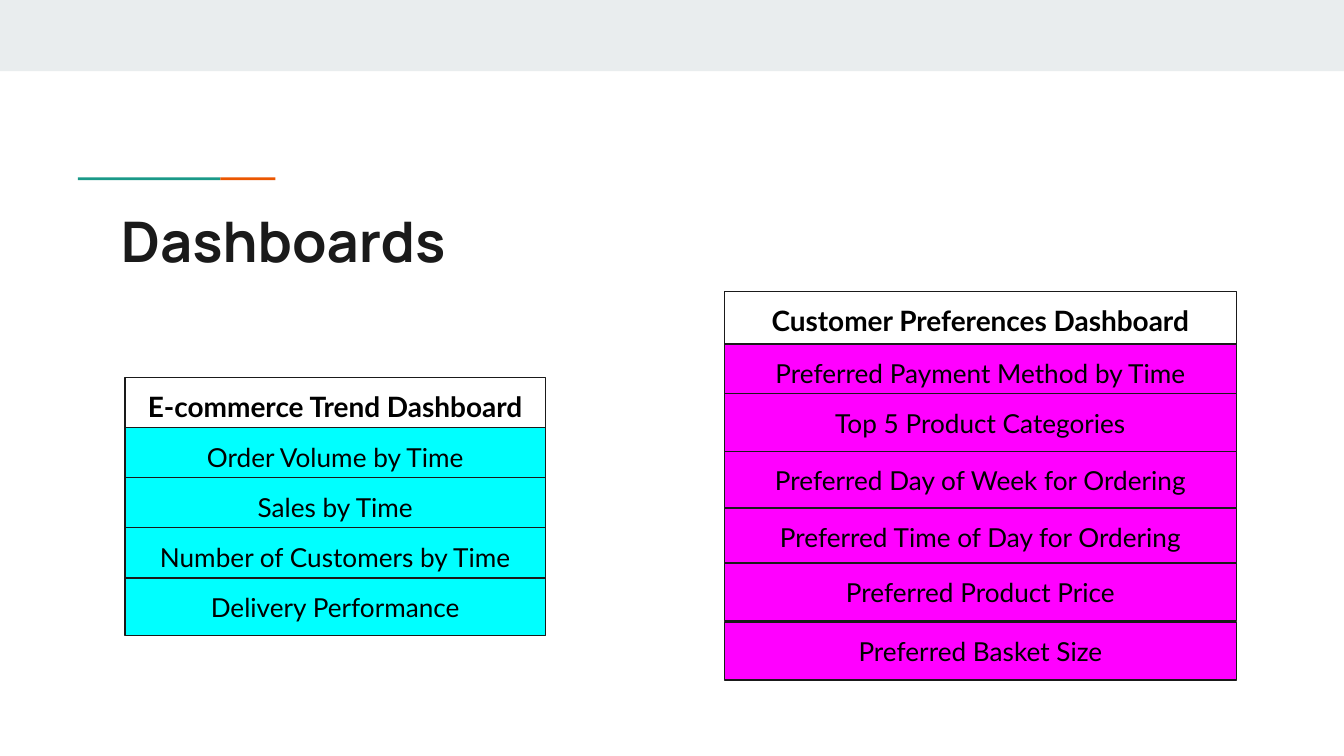
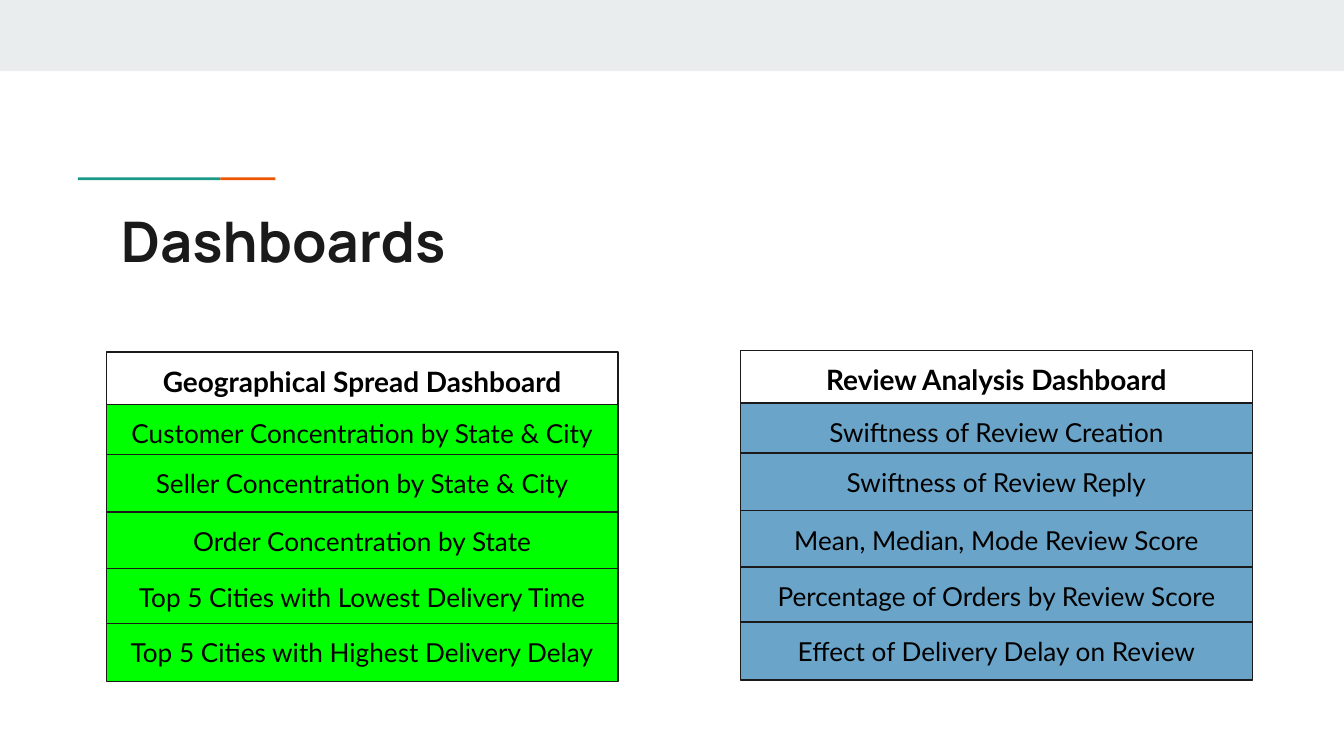
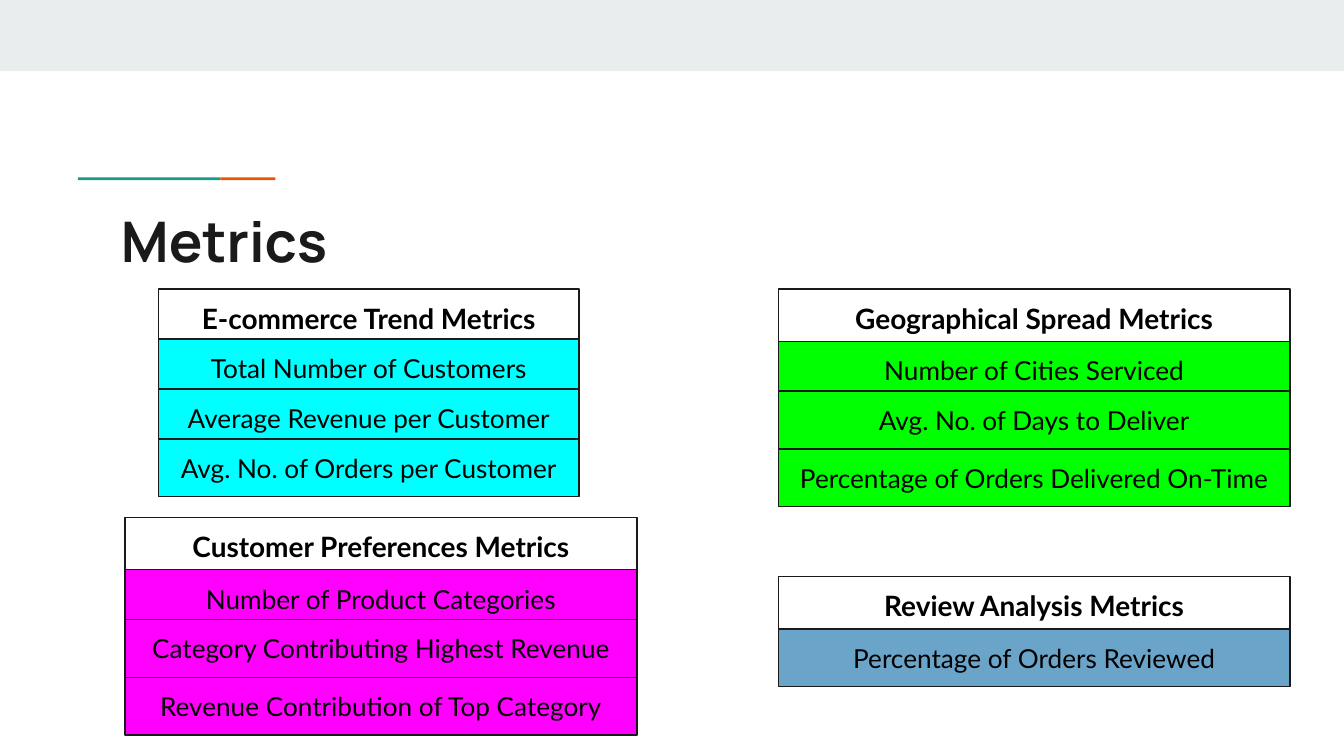
import dataclasses

import pptx
import pptx.dml.color
import pptx.enum.shapes
import pptx.enum.text
import pptx.util

Inches = pptx.util.Inches


@dataclasses.dataclass(frozen=True)
class Theme:
    paper: str = "FFFFFF"
    ink: str = "1A1A1A"
    label: str = "000000"
    band: str = "E9EDEE"
    teal: str = "1A9988"
    orange: str = "EB5600"
    trend: str = "00FFFF"
    preferences: str = "FF00FF"
    geography: str = "00FF00"
    review: str = "6AA4C8"
    title_font: str = "Manrope"
    card_font: str = "Lato"
    title_size: int = 30
    heading_size: int = 15
    item_size: int = 14
    outline: float = 0.75


THEME = Theme()
SLIDE_WIDTH = 10
SLIDE_HEIGHT = SLIDE_WIDTH * 9 / 16
TITLE_BOX = (0.8, 1.44, 8.41, 0.59)
INSET = 0.1
ROW_HEIGHT = 0.43

# Card widths, and the top of each row measured from the top of its card
NARROW, WIDE = 3.13, 3.81
ROW_TOPS = {
    NARROW: [1.49 * row / 4 for row in range(5)],
    WIDE: [0, 0.39, 0.76, 1.19, 1.61, 2.02, 2.46],
}


def rgb(value):
    return pptx.dml.color.RGBColor.from_string(value)


def set_all(target, values):
    for attribute, value in values.items():
        setattr(target, attribute, value)


def add_rectangle(slide, box, fill, outline=None):
    rectangle = slide.shapes.add_shape(
        pptx.enum.shapes.MSO_SHAPE.RECTANGLE, *map(Inches, box))
    rectangle.shadow.inherit = False
    rectangle.fill.solid()
    rectangle.fill.fore_color.rgb = rgb(fill)
    if outline:
        rectangle.line.color.rgb = rgb(outline)
        rectangle.line.width = pptx.util.Pt(THEME.outline)
    else:
        rectangle.line.fill.background()
    return rectangle


def write(shape, text, font, size, color, bold, align, anchor):
    frame = shape.text_frame
    frame.text = text
    margins = dict.fromkeys(
        ("margin_left", "margin_top", "margin_right", "margin_bottom"), Inches(INSET))
    set_all(frame, {
        **margins,
        "word_wrap": True,
        "auto_size": pptx.enum.text.MSO_AUTO_SIZE.NONE,
        "vertical_anchor": anchor,
    })
    paragraph = frame.paragraphs[0]
    paragraph.alignment = align
    run_font = paragraph.runs[0].font
    set_all(run_font, {"name": font, "size": pptx.util.Pt(size), "bold": bold})
    run_font.color.rgb = rgb(color)


def decorate_layout(layout, slide):
    """Put the top band and the two-colour rule on the layout, behind its text."""
    decorations = [
        ((0, 0, SLIDE_WIDTH, 0.53), THEME.band),
        ((0.58, 1.32, 1.06, 0.02), THEME.teal),
        ((1.64, 1.32, 0.41, 0.02), THEME.orange),
    ]
    for position, (box, fill) in enumerate(decorations, start=2):
        # Shapes can only be created on a slide, so each is moved over
        decoration = add_rectangle(slide, box, fill)
        layout.shapes._spTree.insert(position, decoration._element)


def add_title(slide, text):
    title = slide.shapes.title
    edges = zip(("left", "top", "width", "height"), map(Inches, TITLE_BOX))
    set_all(title, dict(edges))
    write(title, text, THEME.title_font, THEME.title_size, THEME.ink, True,
          pptx.enum.text.PP_ALIGN.LEFT, pptx.enum.text.MSO_ANCHOR.TOP)


def add_card(slide, left, top, width, color, heading, items):
    """A white heading row followed by coloured, slightly overlapping rows."""
    for row, (text, offset) in enumerate(zip([heading, *items], ROW_TOPS[width])):
        is_heading = row == 0
        cell = add_rectangle(slide, (left, top + offset, width, ROW_HEIGHT),
                             THEME.paper if is_heading else color, THEME.ink)
        write(cell, text, THEME.card_font,
              THEME.heading_size if is_heading else THEME.item_size,
              THEME.label, is_heading,
              pptx.enum.text.PP_ALIGN.CENTER, pptx.enum.text.MSO_ANCHOR.MIDDLE)


# Each slide: title, then cards as left, top, width, colour, heading, items
SLIDES = [
    ("Dashboards", [
        (5.39, 2.17, WIDE, THEME.preferences, "Customer Preferences Dashboard", [
            "Preferred Payment Method by Time",
            "Top 5 Product Categories",
            "Preferred Day of Week for Ordering",
            "Preferred Time of Day for Ordering",
            "Preferred Product Price",
            "Preferred Basket Size",
        ]),
        (0.93, 2.81, NARROW, THEME.trend, "E-commerce Trend Dashboard", [
            "Order Volume by Time",
            "Sales by Time",
            "Number of Customers by Time",
            "Delivery Performance",
        ]),
    ]),
    ("Dashboards", [
        (0.79, 2.62, WIDE, THEME.geography, "Geographical Spread Dashboard", [
            "Customer Concentration by State & City",
            "Seller Concentration by State & City",
            "Order Concentration by State",
            "Top 5 Cities with Lowest Delivery Time",
            "Top 5 Cities with Highest Delivery Delay",
        ]),
        (5.51, 2.61, WIDE, THEME.review, "Review Analysis Dashboard", [
            "Swiftness of Review Creation",
            "Swiftness of Review Reply",
            "Mean, Median, Mode Review Score",
            "Percentage of Orders by Review Score",
            "Effect of Delivery Delay on Review",
        ]),
    ]),
    ("Metrics", [
        (1.18, 2.15, NARROW, THEME.trend, "E-commerce Trend Metrics", [
            "Total Number of Customers",
            "Average Revenue per Customer",
            "Avg. No. of Orders per Customer",
        ]),
        (0.93, 3.85, WIDE, THEME.preferences, "Customer Preferences Metrics", [
            "Number of Product Categories",
            "Category Contributing Highest Revenue",
            "Revenue Contribution of Top Category",
        ]),
        (5.79, 2.15, WIDE, THEME.geography, "Geographical Spread Metrics", [
            "Number of Cities Serviced",
            "Avg. No. of Days to Deliver",
            "Percentage of Orders Delivered On-Time",
        ]),
        (5.79, 4.29, WIDE, THEME.review, "Review Analysis Metrics", [
            "Percentage of Orders Reviewed",
        ]),
    ]),
]


def main():
    deck = pptx.Presentation()
    set_all(deck, {"slide_width": Inches(SLIDE_WIDTH),
                   "slide_height": Inches(SLIDE_HEIGHT)})
    layout = deck.slide_layouts.get_by_name("Title Only")
    for title, cards in SLIDES:
        slide = deck.slides.add_slide(layout)
        add_title(slide, title)
        for card in cards:
            add_card(slide, *card)
    decorate_layout(layout, deck.slides[0])
    deck.save("out.pptx")


if __name__ == "__main__":
    main()
